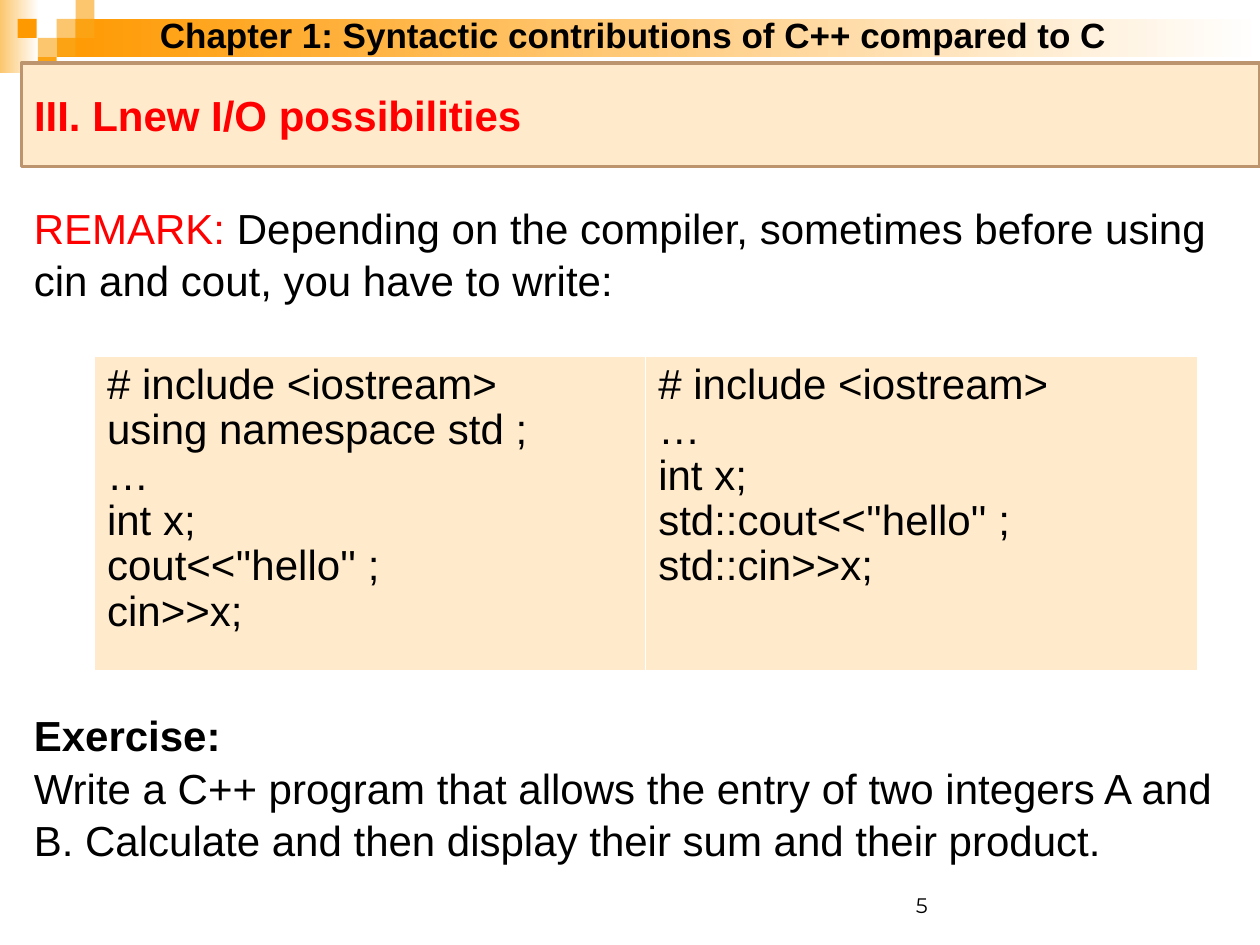
from lxml.etree import SubElement
from pptx import Presentation
from pptx.dml.color import RGBColor
from pptx.enum.shapes import MSO_SHAPE as Preset
from pptx.enum.text import MSO_ANCHOR as Anchor, PP_ALIGN as Align
from pptx.oxml.ns import qn
from pptx.util import Inches, Pt

BLACK = RGBColor(0x00, 0x00, 0x00)
WHITE = RGBColor(0xFF, 0xFF, 0xFF)
RED = RGBColor(0xFF, 0x00, 0x00)
ORANGE = RGBColor(0xFF, 0x99, 0x00)
AMBER = RGBColor(0xFB, 0xA3, 0x13)
PALE_ORANGE = RGBColor(0xFC, 0xC6, 0x6E)
CREAM = RGBColor(0xFF, 0xEB, 0xCC)
TAN = RGBColor(0xBC, 0x95, 0x6F)


def add_block(left, top, width, height, color, fade=False):
    block = slide.shapes.add_shape(
        Preset.RECTANGLE, Inches(left), Inches(top), Inches(width), Inches(height))
    block.shadow.inherit = False
    block.line.fill.background()
    if fade:
        block.fill.gradient()
        block.fill.gradient_angle = 0
        for stop, stop_color in zip(block.fill.gradient_stops, (color, WHITE)):
            stop.color.rgb = stop_color
    else:
        block.fill.solid()
        block.fill.fore_color.rgb = color


def style(paragraph, size, color=BLACK, bold=False, name="Arial"):
    paragraph.alignment = Align.LEFT
    paragraph.font.size = Pt(size)
    paragraph.font.color.rgb = color
    paragraph.font.bold = bold
    paragraph.font.name = name


presentation = Presentation()
presentation.slide_width = Inches(10)
presentation.slide_height = Inches(7.5)
slide = presentation.slides.add_slide(presentation.slide_layouts[5])

add_block(0, 0, 0.31, 0.58, PALE_ORANGE, fade=True)
add_block(0.45, 0.15, 9.55, 0.3, ORANGE, fade=True)
for left, top, color in (
    (0.45, 0.15, PALE_ORANGE),
    (0.6, 0, PALE_ORANGE),
    (0.6, 0.15, AMBER),
    (0.3, 0.3, PALE_ORANGE),
    (0.14, 0.15, ORANGE),
    (0.45, 0.3, AMBER),
    (0.3, 0.45, AMBER),
):
    add_block(left, top, 0.15, 0.15, color)

page_number = slide.shapes.add_textbox(Inches(7.17), Inches(6.83), Inches(2.33), Inches(0.5))
page_number.text_frame.word_wrap = True
page_number.text_frame.vertical_anchor = Anchor.BOTTOM
page_number.text_frame.text = "5"
style(page_number.text_frame.paragraphs[0], 12, name="Montserrat")

title = slide.shapes.title
slide.shapes.element.append(title.element)
title.left, title.top = Inches(0.17), Inches(0.5)
title.width, title.height = Inches(9.83), Inches(0.82)
title.fill.solid()
title.fill.fore_color.rgb = CREAM
title.line.color.rgb = TAN
title.line.width = Pt(2)
title.text_frame.vertical_anchor = Anchor.MIDDLE
title.text_frame.text = "III. Lnew I/O possibilities"
style(title.text_frame.paragraphs[0], 24, RED, bold=True)

chapter = slide.shapes.add_textbox(Inches(1.17), Inches(0.06), Inches(7.85), Inches(0.44))
chapter.text_frame.word_wrap = True
chapter.text_frame.text = "Chapter 1: Syntactic contributions of C++ compared to C"
style(chapter.text_frame.paragraphs[0], 20, bold=True)

body = slide.shapes.add_textbox(Inches(0.17), Inches(1.49), Inches(9.68), Inches(5.71))
body.text_frame.word_wrap = True
body.text_frame.margin_top = Inches(0.1)
body.text_frame.text = "\n".join((
    "REMARK: ",
    "Exercise:",
    "Write a C++ program that allows the entry of two integers A and B. "
    "Calculate and then display their sum and their product.",
))
remark, exercise, task = body.text_frame.paragraphs
for paragraph in (remark, exercise, task):
    style(paragraph, 24, bold=paragraph is exercise)
    paragraph.line_spacing = 1.04
remark.runs[0].font.color.rgb = RED
remark.add_run().text = (
    "Depending on the compiler, sometimes before using cin and cout, you have to write:")
exercise.space_before = Pt(230)

programs = (
    "# include <iostream>\nusing namespace std ;\n…\nint x;\ncout<<''hello'' ;\ncin>>x;",
    "# include <iostream>\n…\nint x;\nstd::cout<<''hello'' ;\nstd::cin>>x;",
)
table = slide.shapes.add_table(
    1, 2, Inches(0.75), Inches(2.83), Inches(8.75), Inches(2.5)).table
table.first_row = False
table.horz_banding = False
for cell, program in zip(table.rows[0].cells, programs):
    cell.text = program
    for paragraph in cell.text_frame.paragraphs:
        style(paragraph, 24)
        paragraph.line_spacing = 0.97
    properties = cell._tc.get_or_add_tcPr()
    for side, width in (("lnL", 0.45), ("lnR", 0.45), ("lnT", 0.45), ("lnB", 1.47)):
        border = SubElement(properties, qn(f"a:{side}"), w=str(Pt(width)))
        border_fill = SubElement(border, qn("a:solidFill"))
        SubElement(border_fill, qn("a:srgbClr"), val=str(WHITE))
    cell.fill.solid()
    cell.fill.fore_color.rgb = CREAM

presentation.save("out.pptx")
